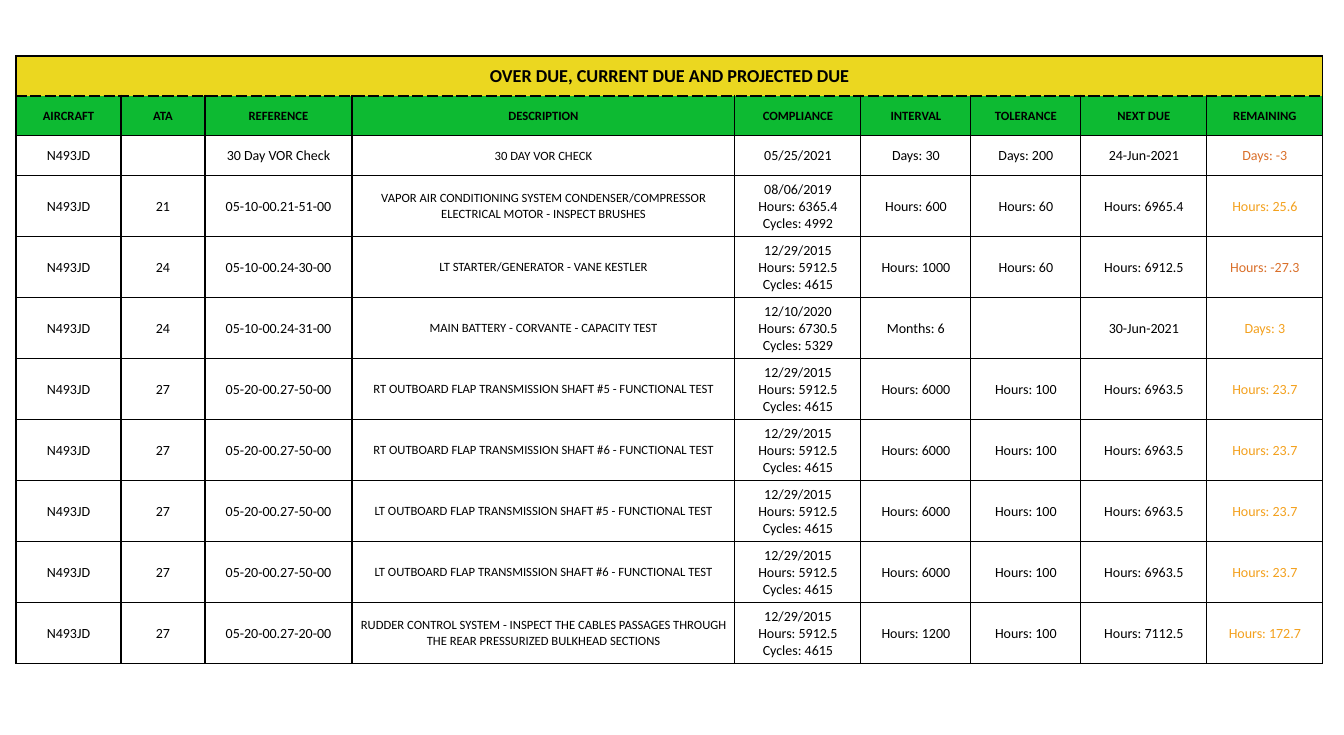
"""Build a one-slide aircraft maintenance table of overdue, current and projected items."""
from lxml import etree
from pptx import Presentation, util as u
from pptx.dml.color import RGBColor
from pptx.enum import text
from pptx.oxml.ns import qn

PX = 914400 / 100.8
TAIL = "N493JD"
LATE, SOON = ("D35400", 83), ("F39C12", 95)


def paint(fill, element, color, opacity=100):
    """Fill with a hex colour at a percentage of opacity."""
    fill.solid()
    fill.fore_color.rgb = RGBColor.from_string(color)
    if opacity < 100:
        rgb = element.find(".//" + qn("a:srgbClr"))
        etree.SubElement(rgb, qn("a:alpha"), val=str(opacity * 1000))


def draw_borders(cell, borders):
    """Give the left, right, top and bottom sides a colour, a width and a dash."""
    properties = cell._tc.get_or_add_tcPr()
    for index, (side, (color, width, dash)) in enumerate(zip("LRTB", borders)):
        line = etree.Element(qn("a:ln" + side), w=str(u.Pt(width)))
        solid = etree.SubElement(line, qn("a:solidFill"))
        etree.SubElement(solid, qn("a:srgbClr"), val=color)
        etree.SubElement(line, qn("a:prstDash"), val=dash)
        properties.insert(index, line)


title = "OVER DUE, CURRENT DUE AND PROJECTED DUE"
headings = ["AIRCRAFT", "ATA", "REFERENCE", "DESCRIPTION", "COMPLIANCE",
            "INTERVAL", "TOLERANCE", "NEXT DUE", "REMAINING"]
fitted = "12/29/2015\vHours: 5912.5\vCycles: 4615"
checks = [
    ["", "30 Day VOR Check", "30 DAY VOR CHECK", "05/25/2021",
     "Days: 30", "Days: 200", "24-Jun-2021", "Days: -3"],
    ["21", "05-10-00.21-51-00",
     "VAPOR AIR CONDITIONING SYSTEM CONDENSER/COMPRESSOR ELECTRICAL MOTOR - INSPECT BRUSHES",
     "08/06/2019\vHours: 6365.4\vCycles: 4992",
     "Hours: 600", "Hours: 60", "Hours: 6965.4", "Hours: 25.6"],
    ["24", "05-10-00.24-30-00", "LT STARTER/GENERATOR - VANE KESTLER", fitted,
     "Hours: 1000", "Hours: 60", "Hours: 6912.5", "Hours: -27.3"],
    ["24", "05-10-00.24-31-00", "MAIN BATTERY - CORVANTE - CAPACITY TEST",
     "12/10/2020\vHours: 6730.5\vCycles: 5329",
     "Months: 6", "", "30-Jun-2021", "Days: 3"],
]
for wing in ("RT", "LT"):
    for shaft in (5, 6):
        checks.append([
            "27", "05-20-00.27-50-00",
            f"{wing} OUTBOARD FLAP TRANSMISSION SHAFT #{shaft} - FUNCTIONAL TEST",
            fitted, "Hours: 6000", "Hours: 100", "Hours: 6963.5", "Hours: 23.7"])
checks.append([
    "27", "05-20-00.27-20-00",
    "RUDDER CONTROL SYSTEM - INSPECT THE CABLES PASSAGES THROUGH THE REAR PRESSURIZED BULKHEAD SECTIONS",
    fitted, "Hours: 1200", "Hours: 100", "Hours: 7112.5", "Hours: 172.7"])

blank = [""] * len(headings)
rows = [blank, [title] + blank[1:], headings] + [[TAIL] + check for check in checks]
column_widths = [105, 84, 147, 383, 126, 110, 110, 126, 116]
row_heights = [40] * 4 + [61] * (len(rows) - 4)

black, white = ("000000", 1, "solid"), ("FFFFFF", 1, "solid")
thin_dash, thick_dash = ("000000", 1, "dash"), ("000000", 2, "dash")
row_borders = {0: [white, white, white, black],
               1: [black, black, black, thin_dash],
               2: [black, black, thick_dash, black]}
row_fills = {1: ("EAD40E", 92), 2: ("0DBA32", 100)}

deck = Presentation()
deck.slide_width, deck.slide_height = u.Emu(round(1344 * PX)), u.Emu(round(735 * PX))
slide = deck.slides.add_slide(deck.slide_layouts[6])
left, top, width, height = (u.Emu(round(n * PX)) for n in
                            (16, 16, sum(column_widths), sum(row_heights)))
schedule = slide.shapes.add_table(len(rows), len(headings), left, top, width, height).table
schedule.first_row = schedule.horz_banding = False
for column, column_width in zip(schedule.columns, column_widths):
    column.width = u.Emu(round(column_width * PX))

for r, (row, row_height) in enumerate(zip(rows, row_heights)):
    schedule.rows[r].height = u.Emu(round(row_height * PX))
    for c, wording in enumerate(row):
        cell = schedule.cell(r, c)
        cell.text = wording
        cell.vertical_anchor = text.MSO_ANCHOR.MIDDLE
        margin = 5 if wording and r != 1 and c not in (2, 3) else 1
        cell.margin_left = cell.margin_right = u.Emu(round(margin * PX))
        cell.margin_top = cell.margin_bottom = u.Emu(round(margin * PX))
        if r in row_fills:
            paint(cell.fill, cell._tc, *row_fills[r])
        else:
            cell.fill.background()
        draw_borders(cell, row_borders.get(r, [black] * 4))
        paragraph = cell.text_frame.paragraphs[0]
        paragraph.alignment = text.PP_ALIGN.CENTER
        paragraph.font.name = "Calibri"
        paragraph.font.bold = r in (1, 2)
        paragraph.font.size = u.Pt(13 if r == 1 else 9 if r == 2 or c == 3 else 10)
        ink = ("000000", 100)
        if r > 2 and c == len(headings) - 1:
            ink = LATE if "-" in wording else SOON
        paint(paragraph.font.fill, paragraph._p, *ink)

schedule.cell(1, 0).merge(schedule.cell(1, len(headings) - 1))
deck.save("out.pptx")
